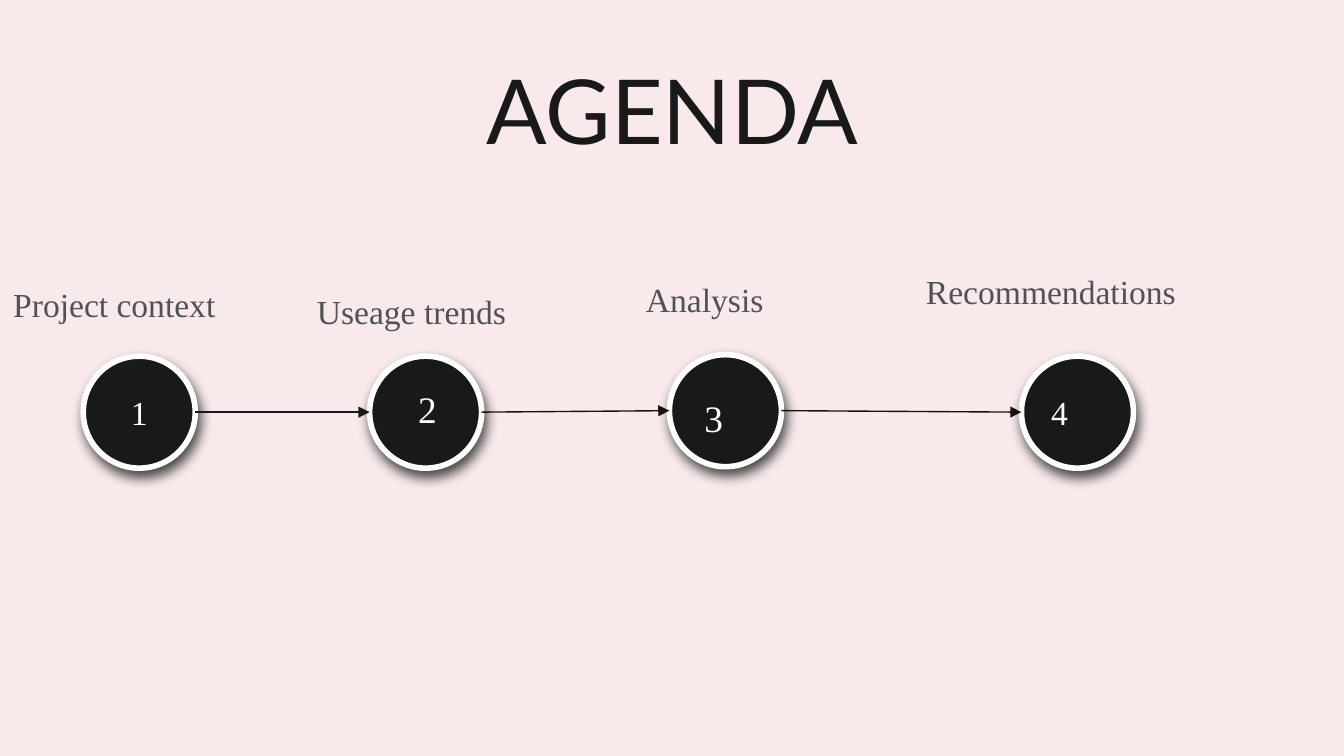
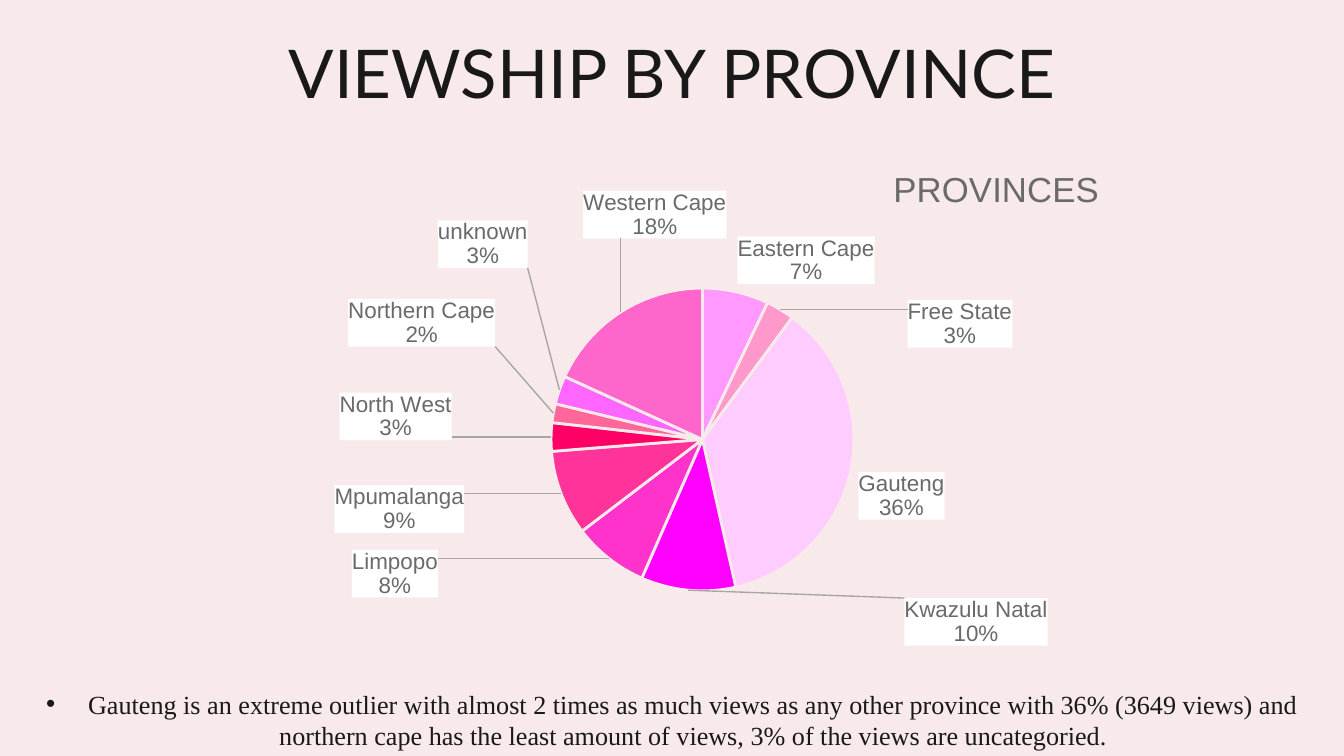
from dataclasses import dataclass
from typing import Any

import pptx
import pptx.chart.data
import pptx.dml.color
import pptx.enum.chart
import pptx.enum.shapes
import pptx.enum.text
import pptx.oxml
import pptx.oxml.ns
import pptx.util

Pt = pptx.util.Pt
Align = pptx.enum.text.PP_ALIGN
Anchor = pptx.enum.text.MSO_ANCHOR

BACKGROUND = "F8EAEA"
INK = "191919"
LABEL_GREY = "525252"
CHART_GREY = "6A6A6A"
WHITE = "FFFFFF"
ARROW_BROWN = "200D0D"
SERIF = "Times New Roman"

DIAMETER = 60
INSET = 7.2
LABEL_SIZE = (184.3, 28.8)
NUMBER_SIZE = (57.6, 36)
CHART_BOX = (0, 74.2, 720, 282.2)


@dataclass
class Step:
    number: str
    label: str
    circle_at: tuple[float, float]
    label_at: tuple[float, float]
    number_at: tuple[float, float] | None = None
    align: Any = Align.CENTER
    arrow_color: str = ARROW_BROWN


@dataclass
class Province:
    name: str
    percent: int
    color: str
    label_shift: tuple[float, float] | None = None


STEPS = [
    Step("1", "Project context", (44.6, 190.8), (0, 152.6), arrow_color=INK),
    Step("2", "Useage trends", (198, 190.8), (162.7, 156.2), (200.2, 202.3)),
    Step("3", "Analysis", (358.6, 190), (339, 149.5), (353.5, 207.4)),
    Step("4", "Recommendations", (547.2, 190.8), (489, 145.4), align=Align.LEFT),
]

PROVINCES = [
    Province("Eastern Cape", 7, "FF99FF"),
    Province("Free State", 3, "FF99CC", (66, 24)),
    Province("Gauteng", 36, "FFCCFF"),
    Province("Kwazulu Natal", 10, "FF00FF", (193, 0)),
    Province("Limpopo", 8, "FF33CC", (-89, -8)),
    Province("Mpumalanga", 9, "FF3399", (-48, -6)),
    Province("North West", 3, "FF0066", (-49, -11)),
    Province("Northern Cape", 2, "FF6699", (-27, -35)),
    Province("unknown", 3, "FF66FF", (-13, -64)),
    Province("Western Cape", 18, "FF66CC", (59, -36)),
]


def rgb(color: str) -> pptx.dml.color.RGBColor:
    return pptx.dml.color.RGBColor.from_string(color)


def xml(text: str) -> Any:
    tag, rest = text.split(">", 1)
    slash = "/" if tag.endswith("/") else ""
    names = pptx.oxml.ns.nsdecls("a", "c")
    return pptx.oxml.parse_xml(f"{tag.rstrip('/')} {names}{slash}>{rest}")


def place(sp: Any, at: tuple[float, float], size: tuple[float, float]) -> None:
    sp.left, sp.top = (Pt(v) for v in at)
    sp.width, sp.height = (Pt(v) for v in size)


def write(sp: Any, text: str, size: float, color: str, font: str = SERIF,
          align: Any = Align.LEFT, anchor: Any = Anchor.MIDDLE,
          spacing: float = 0.9, inset: float = INSET) -> Any:
    tf = sp.text_frame
    tf.text = text
    tf.word_wrap = True
    tf.auto_size = pptx.enum.text.MSO_AUTO_SIZE.NONE
    tf.vertical_anchor = anchor
    tf.margin_left = tf.margin_right = Pt(INSET)
    tf.margin_top = tf.margin_bottom = Pt(inset)
    p = tf.paragraphs[0]
    p.alignment = align
    p.line_spacing = spacing
    p.space_before = Pt(0)
    f = p.runs[0].font
    f.size, f.name = Pt(size), font
    f.color.rgb = rgb(color)
    return p


def add_text(slide: Any, at: tuple[float, float], size: tuple[float, float],
             text: str, points: float, color: str, **style: Any) -> None:
    sp = slide.shapes.add_textbox(0, 0, 0, 0)
    place(sp, at, size)
    write(sp, text, points, color, **style)


def set_title(slide: Any, text: str, at: tuple[float, float],
              size: tuple[float, float], points: float, anchor: Any,
              spacing: float) -> None:
    sp = slide.shapes.title
    place(sp, at, size)
    write(sp, text, points, INK, "Lato", Align.CENTER, anchor, spacing)


def add_circle(slide: Any, step: Step) -> Any:
    kind = pptx.enum.shapes.MSO_SHAPE.ROUNDED_RECTANGLE
    sp = slide.shapes.add_shape(kind, 0, 0, 0, 0)
    place(sp, step.circle_at, (DIAMETER, DIAMETER))
    sp.adjustments[0] = 0.5
    sp.fill.solid()
    sp.fill.fore_color.rgb = rgb(INK)
    sp.line.color.rgb = rgb(WHITE)
    sp.line.width = Pt(3)
    sp.shadow.inherit = False
    effects = sp._element.spPr.find(pptx.oxml.ns.qn("a:effectLst"))
    effects.append(xml(
        f'<a:outerShdw blurRad="{Pt(6.8)}" dist="{Pt(3.8)}" dir="{70 * 60000}" '
        'algn="ctr" rotWithShape="0"><a:srgbClr val="000000">'
        '<a:alpha val="70000"/></a:srgbClr></a:outerShdw>'))
    if step.number_at is None:
        write(sp, step.number, 18, WHITE, align=step.align, spacing=1.0)
    return sp


def add_arrow(slide: Any, start: Any, end: Any, color: str) -> None:
    kind = pptx.enum.shapes.MSO_CONNECTOR.STRAIGHT
    cxn = slide.shapes.add_connector(kind, 0, 0, 0, 0)
    cxn.begin_connect(start, 3)
    cxn.end_connect(end, 1)
    cxn.line.color.rgb = rgb(color)
    cxn.line.width = Pt(0.75)
    cxn.line._get_or_add_ln().append(xml('<a:tailEnd type="triangle"/>'))
    cxn._element.spPr.append(xml("<a:effectLst/>"))


def manual_layout(target: str = "", modes: bool = True, **parts: float) -> str:
    mode = '<c:xMode val="edge"/><c:yMode val="edge"/>' if modes else ""
    values = "".join(f'<c:{k} val="{v:.4f}"/>' for k, v in parts.items())
    return f"<c:layout><c:manualLayout>{target}{mode}{values}</c:manualLayout></c:layout>"


def set_layout(parent: Any, layout: str, index: int) -> None:
    for old in parent.findall(pptx.oxml.ns.qn("c:layout")):
        parent.remove(old)
    parent.insert(index, xml(layout))


def solid(color: str) -> str:
    return f'<a:solidFill><a:srgbClr val="{color}"/></a:solidFill>'


def pie_labels(provinces: list[Province]) -> Any:
    shown = {"LegendKey": 0, "Val": 0, "CatName": 1, "SerName": 0,
             "Percent": 1, "BubbleSize": 0}
    flags = "".join(f'<c:show{k} val="{v}"/>' for k, v in shown.items())
    style = (
        '<c:numFmt formatCode="0%" sourceLinked="0"/>'
        f"<c:spPr>{solid(WHITE)}<a:ln><a:noFill/></a:ln></c:spPr>"
        '<c:txPr><a:bodyPr/><a:p><a:pPr><a:defRPr sz="1200" b="0">'
        f'{solid(CHART_GREY)}<a:latin typeface="Arial"/></a:defRPr></a:pPr>'
        '<a:endParaRPr/></a:p></c:txPr><c:dLblPos val="outEnd"/>'
        f"{flags}<c:separator>\n</c:separator>")
    moved = ""
    for i, province in enumerate(provinces):
        if province.label_shift:
            dx, dy = province.label_shift
            shift = manual_layout(modes=False, x=dx / CHART_BOX[2], y=dy / CHART_BOX[3])
            moved += f'<c:dLbl><c:idx val="{i}"/>{shift}{style}</c:dLbl>'
    return xml(
        f'<c:dLbls>{moved}{style}<c:showLeaderLines val="1"/><c:leaderLines><c:spPr>'
        f'<a:ln w="{Pt(0.75)}">{solid("A6A6A6")}</a:ln>'
        "</c:spPr></c:leaderLines></c:dLbls>")


def add_pie(slide: Any, provinces: list[Province]) -> None:
    data = pptx.chart.data.CategoryChartData()
    data.categories = [province.name for province in provinces]
    data.add_series("Series 1", [province.percent for province in provinces])
    kind = pptx.enum.chart.XL_CHART_TYPE.PIE
    chart = slide.shapes.add_chart(kind, *(Pt(v) for v in CHART_BOX), data).chart
    chart.has_legend = False
    chart.font.size, chart.font.name = Pt(10), "Arial"
    chart.font.color.rgb = rgb(INK)

    chart.has_title = True
    title = chart.chart_title
    title.text_frame.text = "PROVINCES"
    f = title.text_frame.paragraphs[0].runs[0].font
    f.size, f.name, f.bold = Pt(18.6), "Arial", False
    f.color.rgb = rgb(CHART_GREY)
    title.include_in_layout = False
    set_layout(title._element, manual_layout(x=0.66, y=0.04), 1)

    inner = '<c:layoutTarget val="inner"/>'
    area = chart._chartSpace.chart.plotArea
    set_layout(area, manual_layout(inner, x=0.41, y=0.284, w=0.2255, h=0.575), 0)

    plot = chart.plots[0]
    plot.vary_by_categories = True
    series = plot.series[0]
    for i, province in enumerate(provinces):
        fmt = series.points[i].format
        fmt.fill.solid()
        fmt.fill.fore_color.rgb = rgb(province.color)
        fmt.line.color.rgb = rgb(BACKGROUND)
        fmt.line.width = Pt(1.5)
    labels = series.data_labels._element
    labels.getparent().replace(labels, pie_labels(provinces))


def build_agenda(prs: Any) -> None:
    slide = prs.slides.add_slide(prs.slide_layouts[5])
    set_title(slide, "AGENDA", (56.9, 28.8), (607, 43.2), 48, Anchor.TOP, 0.9)
    circles = [add_circle(slide, step) for step in STEPS]
    for step in STEPS:
        add_text(slide, step.label_at, LABEL_SIZE, step.label, 18, LABEL_GREY,
                 anchor=Anchor.BOTTOM)
        if step.number_at:
            add_text(slide, step.number_at, NUMBER_SIZE, step.number, 20, WHITE,
                     align=step.align)
    for step, start, end in zip(STEPS, circles, circles[1:]):
        add_arrow(slide, start, end, step.arrow_color)


def build_provinces(prs: Any) -> None:
    slide = prs.slides.add_slide(prs.slide_layouts[1])
    set_title(slide, "VIEWSHIP BY PROVINCE", (0, 0), (720, 67), 36, Anchor.BOTTOM, 0.8)
    add_pie(slide, PROVINCES)
    body = slide.placeholders[1]
    place(body, (0.7, 365), (719.3, 40))
    p = write(body, "Gauteng is an extreme outlier with almost 2 times as much views as "
              "any other province with 36% (3649 views) and northern cape has the least "
              "amount of views, 3% of the views are uncategoried.", 14, INK,
              align=Align.CENTER, anchor=Anchor.TOP, spacing=1.0, inset=3.6)
    pPr = p._p.get_or_add_pPr()
    pPr.set("marL", str(Pt(22.5)))
    pPr.set("indent", str(-Pt(22.5)))
    pPr.append(xml('<a:buFont typeface="Arial"/>'))
    pPr.append(xml('<a:buChar char="•"/>'))


def main() -> None:
    prs = pptx.Presentation()
    prs.slide_width, prs.slide_height = Pt(720), Pt(405)
    fill = prs.slide_master.background.fill
    fill.solid()
    fill.fore_color.rgb = rgb(BACKGROUND)
    build_agenda(prs)
    build_provinces(prs)
    prs.save("out.pptx")


if __name__ == "__main__":
    main()
